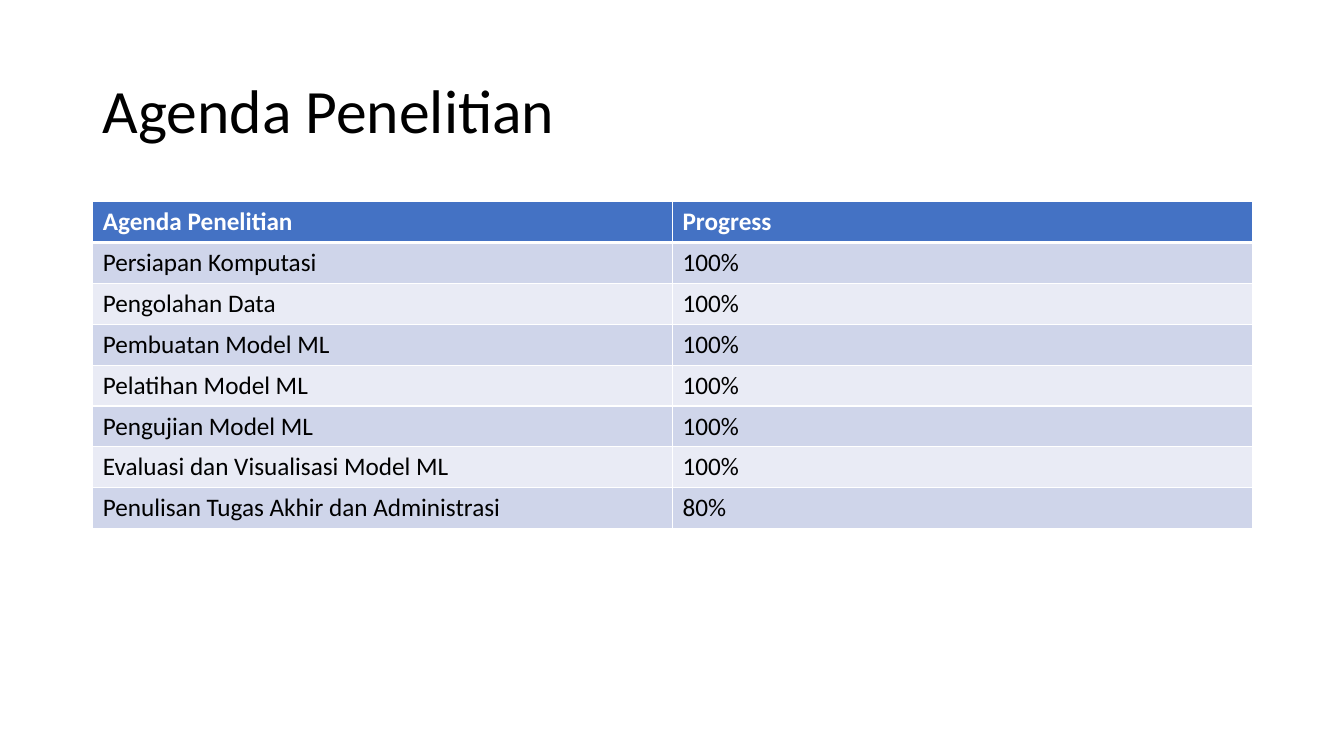
"""Build the research agenda slide with its progress table."""
from lxml import etree
from pptx import Presentation
from pptx import util as u
from pptx.dml.color import RGBColor
from pptx.enum import text
from pptx.oxml.ns import qn


def put_text(tf, words, color, **font):
    p = tf.paragraphs[0]
    p.alignment = text.PP_ALIGN.LEFT
    r = p.add_run()
    r.text = words
    r.font.color.rgb = RGBColor.from_string(color)
    for name, value in {"name": "Calibri", **font}.items():
        setattr(r.font, name, value)


def add_border(cell, side, color, width):
    ln = etree.Element(qn(f"a:ln{side}"), w=str(u.Pt(width)))
    fill = etree.SubElement(ln, qn("a:solidFill"))
    etree.SubElement(fill, qn("a:srgbClr"), val=color)
    cell._tc.get_or_add_tcPr().append(ln)


prs = Presentation()
prs.slide_width, prs.slide_height = u.Inches(13.33), u.Inches(7.5)
s = prs.slides.add_slide(prs.slide_layouts[5])

left, width = u.Inches(0.92), u.Inches(11.5)
title = s.shapes.title
place = {"left": left, "top": u.Inches(0.4), "width": width, "height": u.Inches(1.45)}
for name, value in place.items():
    setattr(title, name, value)
tf = title.text_frame
frame = {"word_wrap": True, "vertical_anchor": text.MSO_ANCHOR.MIDDLE,
         "auto_size": text.MSO_AUTO_SIZE.NONE}
for name, value in frame.items():
    setattr(tf, name, value)
tf.paragraphs[0].line_spacing = 0.9
put_text(tf, "Agenda Penelitian", "000000", size=u.Pt(44))

agenda = [
    ("Agenda Penelitian", "Progress"),
    ("Persiapan Komputasi", "100%"),
    ("Pengolahan Data", "100%"),
    ("Pembuatan Model ML", "100%"),
    ("Pelatihan Model ML", "100%"),
    ("Pengujian Model ML", "100%"),
    ("Evaluasi dan Visualisasi Model ML", "100%"),
    ("Penulisan Tugas Akhir dan Administrasi", "80%"),
]
table = s.shapes.add_table(len(agenda), 2, left, u.Inches(2), width, u.Inches(3.24)).table
for i, row in enumerate(agenda):
    header = i == 0
    band = "4472C4" if header else ("E9EBF5", "CFD5EA")[i % 2]
    for j, words in enumerate(row):
        cell = table.cell(i, j)
        for side in "LRTB":
            thick = (header and side == "B") or (i == 1 and side == "T")
            add_border(cell, side, "FFFFFF", 3 if thick else 1)
        cell.fill.solid()
        cell.fill.fore_color.rgb = RGBColor.from_string(band)
        put_text(cell.text_frame, words, "FFFFFF" if header else "000000",
                 size=u.Pt(18), bold=header)

prs.save("out.pptx")
